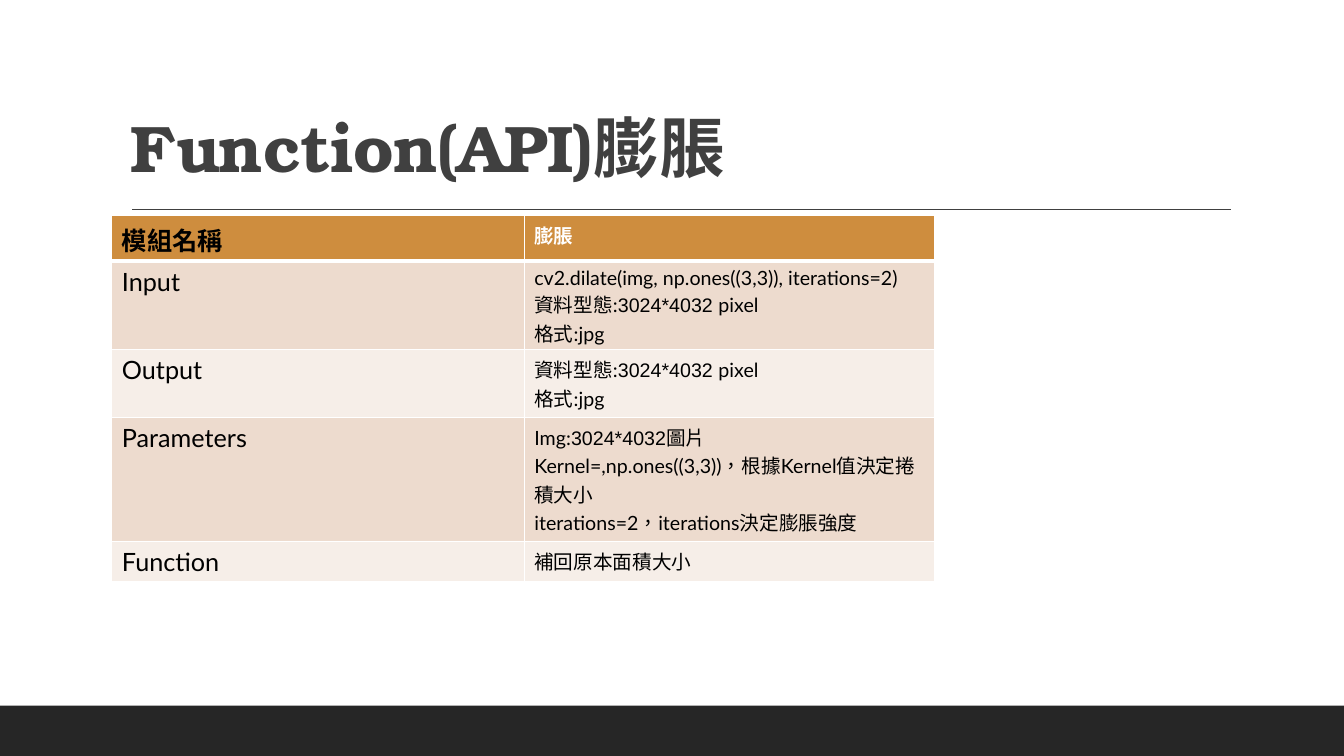
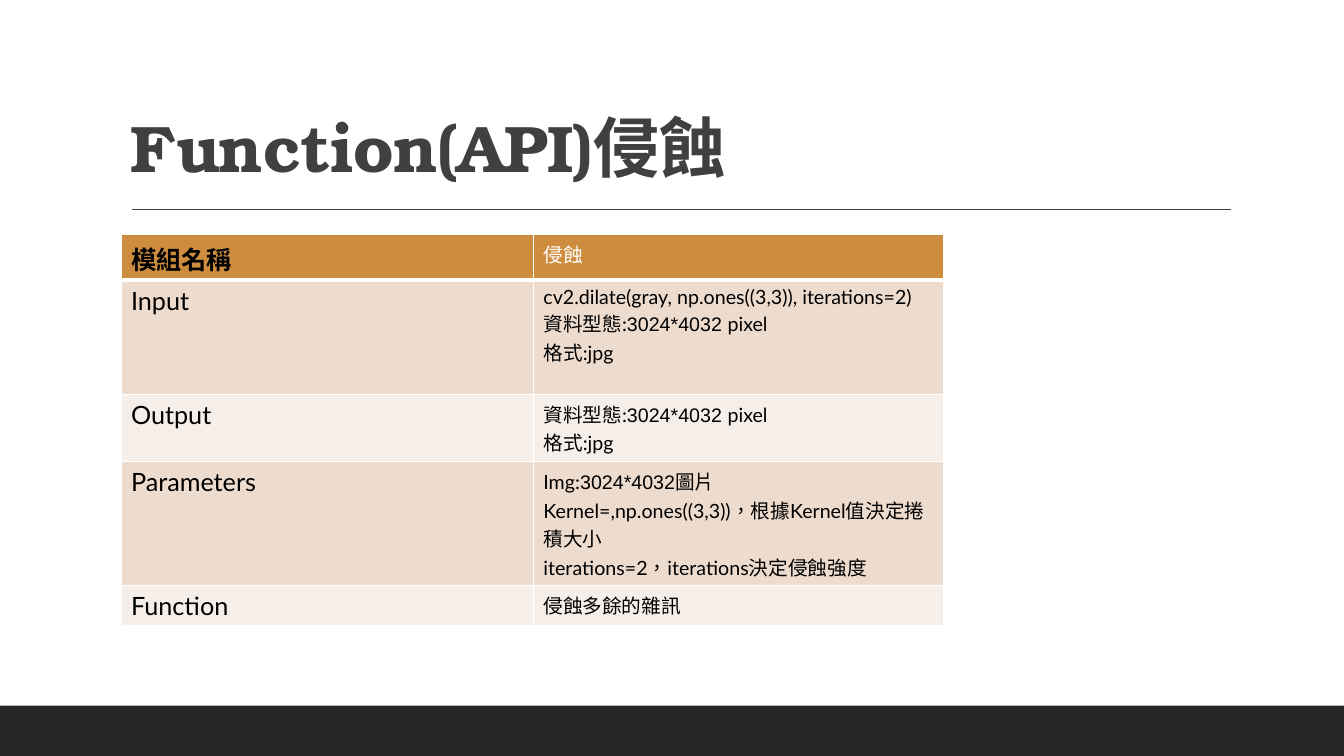
from itertools import cycle

from lxml.etree import SubElement
from pptx import Presentation
from pptx.dml.color import RGBColor
from pptx.enum.lang import MSO_LANGUAGE_ID as Language
from pptx.enum.shapes import MSO_CONNECTOR as Connector, MSO_SHAPE as Shape
from pptx.enum.text import MSO_ANCHOR as Anchor
from pptx.oxml.ns import qn
from pptx.util import Emu, Pt

PX = 9144
PAGE_WIDTH, PAGE_HEIGHT = 1333, 750
BAND_HEIGHT = 50
RULE_LEFT, RULE_RIGHT, RULE_TOP = 131, 1221, 208
TITLE_BOX = (120, 31, 1100, 159)
COLUMN_WIDTHS = (409, 407)

BODY_FONT, NUMBER_FONT, TITLE_FONT = "Lato", "Arial", "TeX Gyre Bonum"
WHITE = RGBColor(0xFF, 0xFF, 0xFF)
BLACK = RGBColor(0x00, 0x00, 0x00)
BAND = RGBColor(0x26, 0x26, 0x26)
GRAY = RGBColor(0x40, 0x40, 0x40)
HEADER = RGBColor(0xCE, 0x8D, 0x3E)
STRIPES = (RGBColor(0xF6, 0xEE, 0xE8), RGBColor(0xED, 0xDB, 0xCE))

IMAGE_FORMAT = ["資料型態:|3024*4032 |pixel", "格式:jpg"]
MODULES = [
    {"name": "膨脹", "image": "img", "purpose": "補回原本面積大小", "bold": True,
     "corner": (111, 214), "heights": (45, 88, 67, 123, 40)},
    {"name": "侵蝕", "image": "gray", "purpose": "侵蝕多餘的雜訊", "bold": False,
     "corner": (120, 233), "heights": (45, 113, 67, 123, 40)},
]


def px(*lengths):
    """Turn px lengths into EMU."""
    return [Emu(length * PX) for length in lengths]


def write(frame, lines, *, size, color=BLACK, font=BODY_FONT, bold=False,
          line_spacing=None, tracking=None):
    """Write one paragraph per line; a bar switches to the number font and back."""
    for index, line in enumerate(lines):
        para = frame.add_paragraph() if index else frame.paragraphs[0]
        para.line_spacing = line_spacing
        for text, face in zip(line.split("|"), cycle((font, NUMBER_FONT))):
            span = para.add_run()
            span.text = text
            span.font.name = face
            span.font.size = Pt(size)
            span.font.bold = bold
            span.font.color.rgb = color
            span.font.language_id = Language.TRADITIONAL_CHINESE
            if tracking:
                span.font._element.set("spc", str(round(tracking * 100)))


def add_page(deck, title):
    """Add a page with the bottom band, the title and the line below it."""
    page = deck.slides.add_slide(deck.slide_layouts[6])
    band = page.shapes.add_shape(
        Shape.RECTANGLE, *px(0, PAGE_HEIGHT - BAND_HEIGHT, PAGE_WIDTH, BAND_HEIGHT))
    band.shadow.inherit = False
    band.fill.solid()
    band.fill.fore_color.rgb = BAND
    band.line.fill.background()

    rule = page.shapes.add_connector(
        Connector.STRAIGHT, *px(RULE_LEFT, RULE_TOP, RULE_RIGHT, RULE_TOP))
    rule.line.color.rgb = GRAY
    rule.line.width = Pt(1)
    SubElement(rule._element.spPr, qn("a:effectLst"))

    box = page.shapes.add_textbox(*px(*TITLE_BOX))
    box.text_frame.word_wrap = True
    box.text_frame.vertical_anchor = Anchor.BOTTOM
    write(box.text_frame, [title], size=47, color=GRAY, font=TITLE_FONT,
          bold=True, line_spacing=0.9, tracking=-0.5)
    return page


def style_cell(cell, color, top, bottom):
    """Give a cell white borders and a plain fill."""
    properties = cell._tc.get_or_add_tcPr()
    for side, width in (("L", 1), ("R", 1), ("T", top), ("B", bottom)):
        border = SubElement(properties, qn(f"a:ln{side}"), w=str(Pt(width)))
        paint = SubElement(border, qn("a:solidFill"))
        SubElement(paint, qn("a:srgbClr"), val=str(WHITE))
    cell.fill.solid()
    cell.fill.fore_color.rgb = color


def module_rows(module):
    """Return the label and the lines of every table row."""
    name = module["name"]
    call = f"cv2.dilate({module['image']}, np.ones((3,3)), iterations=2)"
    return [
        ("模組名稱", [name]),
        ("Input", [call, *IMAGE_FORMAT]),
        ("Output", IMAGE_FORMAT),
        ("Parameters", ["Img:|3024*4032|圖片",
                        "Kernel=,np.ones((3,3))，根據Kernel值決定捲積大小",
                        f"iterations=2，iterations決定{name}強度"]),
        ("Function", [module["purpose"]]),
    ]


def add_module_table(page, module):
    """Add the table that describes one module."""
    rows, heights = module_rows(module), module["heights"]
    table = page.shapes.add_table(
        len(rows), len(COLUMN_WIDTHS),
        *px(*module["corner"], sum(COLUMN_WIDTHS), sum(heights))).table
    table.first_row = table.horz_banding = False
    for column, width in zip(table.columns, px(*COLUMN_WIDTHS)):
        column.width = width
    for index, (label, lines) in enumerate(rows):
        header = index == 0
        table.rows[index].height = px(heights[index])[0]
        label_cell, value_cell = table.cell(index, 0), table.cell(index, 1)
        for cell in (label_cell, value_cell):
            style_cell(cell, HEADER if header else STRIPES[index % 2],
                       top=3 if index == 1 else 1, bottom=3 if header else 1)
        write(label_cell.text_frame, [label], size=18, bold=header)
        write(value_cell.text_frame, lines, size=14,
              color=WHITE if header else BLACK, bold=header and module["bold"])


def main():
    """Build the deck and save it."""
    deck = Presentation()
    deck.slide_width, deck.slide_height = px(PAGE_WIDTH, PAGE_HEIGHT)
    for module in MODULES:
        page = add_page(deck, f"Function(API){module['name']}")
        add_module_table(page, module)
    deck.save("out.pptx")


if __name__ == "__main__":
    main()
